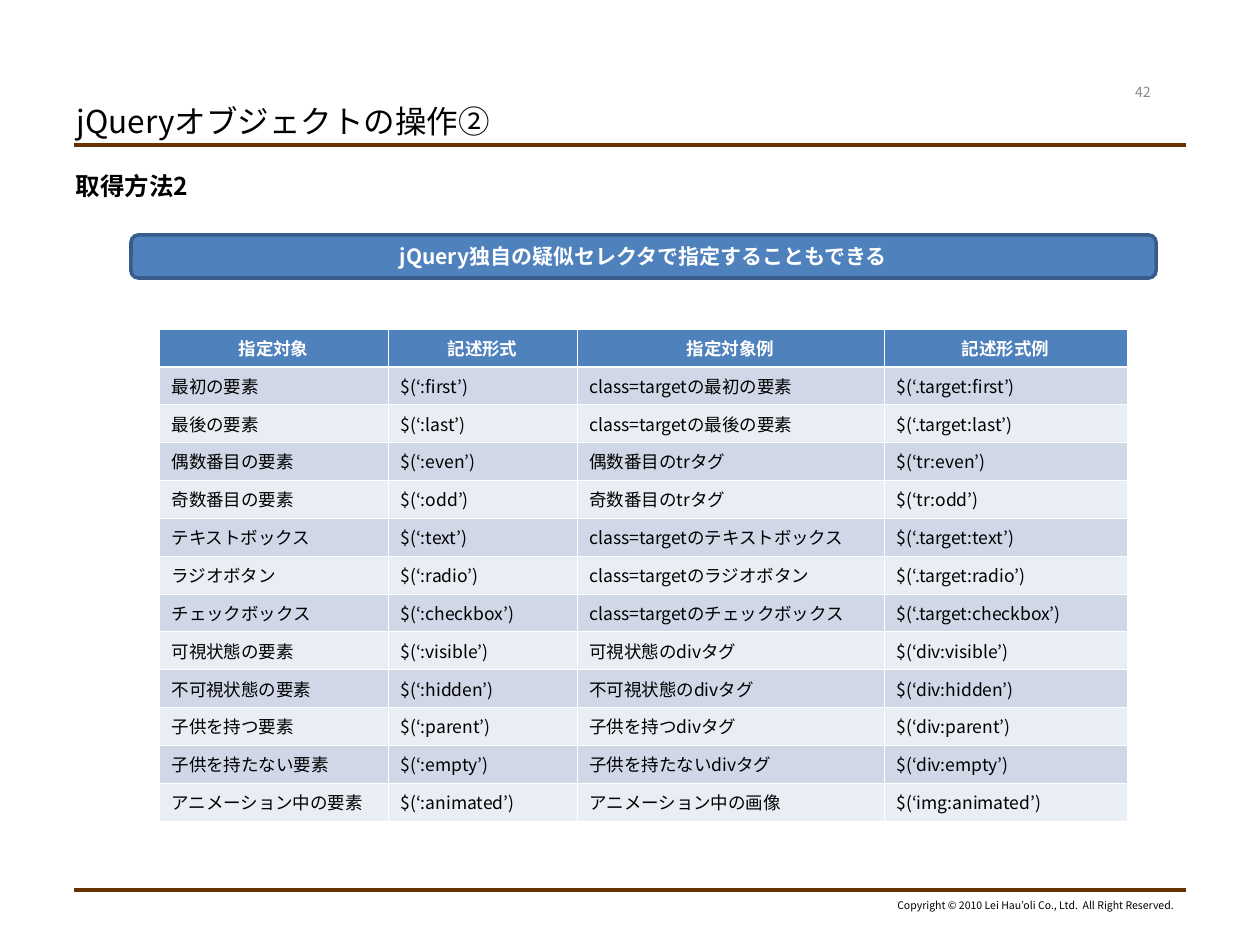
import dataclasses

import lxml.etree
import pptx
import pptx.dml.color
import pptx.enum.shapes
import pptx.enum.text
import pptx.oxml.ns
import pptx.util

HEADING = "jQueryオブジェクトの操作②"
SUBHEADING = "取得方法2"
MESSAGE = "jQuery独自の疑似セレクタで指定することもできる"
PAGE = "42"
COPYRIGHT = "Copyright © 2010 Lei Hau’oli Co., Ltd.  All Right Reserved."
SELECTORS = [
    ("指定対象", "記述形式", "指定対象例", "記述形式例"),
    ("最初の要素", "$(‘:first’)", "class=targetの最初の要素", "$(‘.target:first’)"),
    ("最後の要素", "$(‘:last’)", "class=targetの最後の要素", "$(‘.target:last’)"),
    ("偶数番目の要素", "$(‘:even’)", "偶数番目のtrタグ", "$(‘tr:even’)"),
    ("奇数番目の要素", "$(‘:odd’)", "奇数番目のtrタグ", "$(‘tr:odd’)"),
    ("テキストボックス", "$(‘:text’)", "class=targetのテキストボックス", "$(‘.target:text’)"),
    ("ラジオボタン", "$(‘:radio’)", "class=targetのラジオボタン", "$(‘.target:radio’)"),
    ("チェックボックス", "$(‘:checkbox’)", "class=targetのチェックボックス", "$(‘.target:checkbox’)"),
    ("可視状態の要素", "$(‘:visible’)", "可視状態のdivタグ", "$(‘div:visible’)"),
    ("不可視状態の要素", "$(‘:hidden’)", "不可視状態のdivタグ", "$(‘div:hidden’)"),
    ("子供を持つ要素", "$(‘:parent’)", "子供を持つdivタグ", "$(‘div:parent’)"),
    ("子供を持たない要素", "$(‘:empty’)", "子供を持たないdivタグ", "$(‘div:empty’)"),
    ("アニメーション中の要素", "$(‘:animated’)", "アニメーション中の画像", "$(‘img:animated’)"),
]
COLUMN_WIDTHS = (229, 189, 307, 243)
ROW_HEIGHT = 34
RULE_LEFT, RULE_RIGHT, RULE_TOPS = 74, 1186, (145, 890)
EMU_PER_PX = 914400 / 126


@dataclasses.dataclass(frozen=True)
class Theme:
    font: str = "Noto Sans CJK JP"
    ink: str = "000000"
    light: str = "FFFFFF"
    muted: str = "898989"
    rule: str = "663300"
    accent: str = "4F81BD"
    accent_edge: str = "385D8A"
    bands: tuple = ("E9EDF4", "D0D8E8")
    heading: int = 18
    subheading: int = 14
    message: int = 12
    table: int = 10
    page: int = 8
    copyright: int = 6
    rule_width: float = 2.25
    edge_width: float = 2
    grid_width: float = 0.45
    header_width: float = 1.47


THEME = Theme()
ALIGN = pptx.enum.text.PP_ALIGN
ANCHOR = pptx.enum.text.MSO_ANCHOR
qn = pptx.oxml.ns.qn


def px(value):
    return pptx.util.Emu(round(value * EMU_PER_PX))


def color(code):
    return pptx.dml.color.RGBColor.from_string(code)


def write(frame, text, *, size, ink=THEME.ink, bold=False, align=ALIGN.LEFT,
          anchor=ANCHOR.TOP, wrap=True):
    frame.word_wrap = wrap
    frame.auto_size = pptx.enum.text.MSO_AUTO_SIZE.NONE
    frame.vertical_anchor = anchor
    paragraph = frame.paragraphs[0]
    paragraph.alignment = align
    paragraph.space_before = pptx.util.Pt(0)
    run = paragraph.add_run()
    run.text = text
    run.font.name = THEME.font
    run.font.size = pptx.util.Pt(size)
    run.font.bold = bold
    run.font.color.rgb = color(ink)
    east_asian = lxml.etree.Element(qn("a:ea"), typeface=THEME.font)
    run.font._element.find(qn("a:latin")).addnext(east_asian)
    return paragraph


def place(shape, left, top, width, height):
    shape.left, shape.top = px(left), px(top)
    shape.width, shape.height = px(width), px(height)
    return shape


def add_label(slide, box, text, **style):
    label = slide.shapes.add_textbox(*map(px, box))
    write(label.text_frame, text, **style)


def add_rule(slide, top):
    rule = slide.shapes.add_connector(
        pptx.enum.shapes.MSO_CONNECTOR.STRAIGHT,
        px(RULE_LEFT), px(top), px(RULE_RIGHT), px(top))
    rule.line.color.rgb = color(THEME.rule)
    rule.line.width = pptx.util.Pt(THEME.rule_width)
    lxml.etree.SubElement(rule._element.spPr, qn("a:effectLst"))


def add_message(slide):
    banner = slide.shapes.add_shape(
        pptx.enum.shapes.MSO_SHAPE.ROUNDED_RECTANGLE, *map(px, (131, 235, 1025, 43)))
    banner.shadow.inherit = False
    banner.fill.solid()
    banner.fill.fore_color.rgb = color(THEME.accent)
    banner.line.color.rgb = color(THEME.accent_edge)
    banner.line.width = pptx.util.Pt(THEME.edge_width)
    write(banner.text_frame, MESSAGE, size=THEME.message, ink=THEME.light, bold=True,
          align=ALIGN.CENTER, anchor=ANCHOR.MIDDLE)


def set_borders(cell, row):
    heavy_side = {0: "B", 1: "T"}.get(row)
    properties = cell._tc.get_or_add_tcPr()
    for side in "LRTB":
        width = THEME.header_width if side == heavy_side else THEME.grid_width
        border = lxml.etree.SubElement(
            properties, qn(f"a:ln{side}"), w=str(pptx.util.Pt(width)))
        fill = lxml.etree.SubElement(border, qn("a:solidFill"))
        lxml.etree.SubElement(fill, qn("a:srgbClr"), val=THEME.light)


def add_selectors(slide):
    grid = slide.shapes.add_table(
        len(SELECTORS), len(COLUMN_WIDTHS), px(159), px(329),
        px(sum(COLUMN_WIDTHS)), px(ROW_HEIGHT * len(SELECTORS))).table
    for column, width in zip(grid.columns, COLUMN_WIDTHS):
        column.width = px(width)
    for row, entries in enumerate(SELECTORS):
        grid.rows[row].height = px(ROW_HEIGHT)
        header = row == 0
        for column, entry in enumerate(entries):
            cell = grid.cell(row, column)
            set_borders(cell, row)
            cell.fill.solid()
            cell.fill.fore_color.rgb = color(THEME.accent if header else THEME.bands[row % 2])
            write(cell.text_frame, entry, size=THEME.table, bold=header,
                  ink=THEME.light if header else THEME.ink,
                  align=ALIGN.CENTER if header else ALIGN.LEFT)


def main():
    deck = pptx.Presentation()
    deck.slide_width, deck.slide_height = px(1260), px(945)
    slide = deck.slides.add_slide(deck.slide_layouts[1])

    heading = place(slide.shapes.title, 64, 96, 716, 49)
    write(heading.text_frame, HEADING, size=THEME.heading, anchor=ANCHOR.MIDDLE)
    body = place(slide.placeholders[1], 63, 165, 1134, 704)
    subheading = write(body.text_frame, SUBHEADING, size=THEME.subheading, bold=True)
    properties = subheading._p.get_or_add_pPr()
    properties.set("marL", "0")
    properties.set("indent", "0")
    lxml.etree.SubElement(properties, qn("a:buNone"))

    for top in RULE_TOPS:
        add_rule(slide, top)
    add_label(slide, (881, 893, 305, 25), COPYRIGHT, size=THEME.copyright,
              align=ALIGN.RIGHT, wrap=False)
    add_label(slide, (1106, 77, 74, 30), PAGE, size=THEME.page, ink=THEME.muted,
              align=ALIGN.CENTER, anchor=ANCHOR.MIDDLE)
    add_message(slide)
    add_selectors(slide)
    deck.save("out.pptx")


if __name__ == "__main__":
    main()
